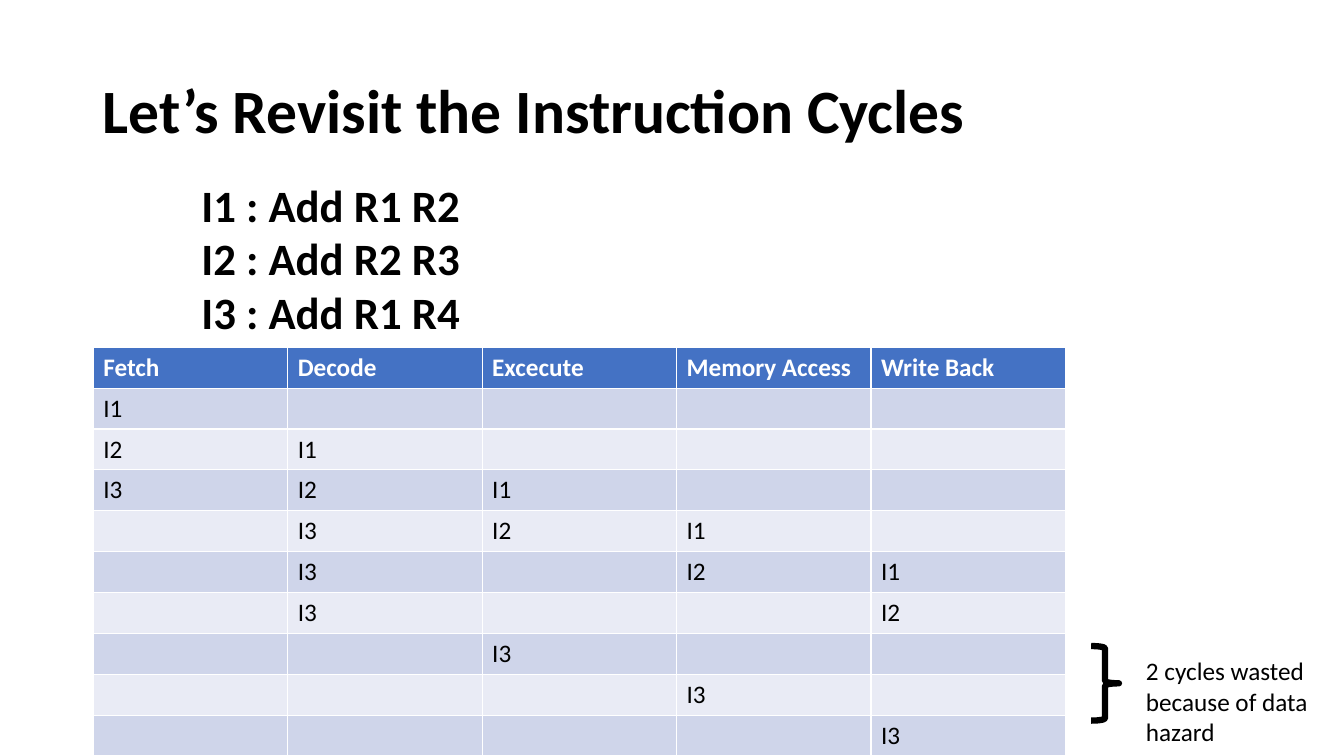
from dataclasses import dataclass

from lxml import etree
from pptx import Presentation
from pptx import util as u
from pptx.dml.color import RGBColor
from pptx.enum import shapes, text
from pptx.oxml import ns

Cm = u.Cm


@dataclass(frozen=True)
class Theme:
    """Colours, font and type sizes of the slide."""
    font: str = "Calibri"
    ink: str = "000000"
    paper: str = "FFFFFF"
    head: str = "4472C4"
    bands: tuple = ("CFD5EA", "E9EBF5")
    title: int = 44
    code: int = 32
    note: int = 18


class Deck:
    """Holds the theme and the current slide."""

    def __init__(self, prs, theme):
        """Add a title and content slide."""
        self.theme = theme
        self.slide = prs.slides.add_slide(prs.slide_layouts[1])

    def label(self, frame, words, size, bold=False, color=None):
        """Fill a text frame and format its runs."""
        frame.text = words
        for para in frame.paragraphs:
            for run in para.runs:
                font = run.font
                font.name, font.size, font.bold = self.theme.font, u.Pt(size), bold
                font.color.rgb = RGBColor.from_string(color or self.theme.ink)

    def place(self, shape, box):
        """Move a shape to left, top, width, height in centimetres."""
        shape.left, shape.top, shape.width, shape.height = map(Cm, box)

    def title(self, words, box):
        """Fill the title placeholder."""
        shape = self.slide.shapes.title
        self.place(shape, box)
        frame = shape.text_frame
        self.label(frame, words, self.theme.title, True)
        frame.auto_size = text.MSO_AUTO_SIZE.NONE
        frame.vertical_anchor = text.MSO_ANCHOR.MIDDLE
        para = frame.paragraphs[0]
        para.alignment, para.line_spacing = text.PP_ALIGN.LEFT, 0.9

    def code(self, lines, box, indent):
        """Fill the body placeholder with indented lines, no bullets."""
        shape = self.slide.placeholders[1]
        self.place(shape, box)
        frame = shape.text_frame
        self.label(frame, "\n".join(lines), self.theme.code, True)
        frame.auto_size = text.MSO_AUTO_SIZE.NONE
        for para in frame.paragraphs:
            para.alignment = text.PP_ALIGN.JUSTIFY
            para.space_before = u.Pt(0)
            props = para._p.get_or_add_pPr()
            props.set("marL", str(Cm(indent)))
            props.set("indent", "0")
            etree.SubElement(props, ns.qn("a:buNone"))

    def table(self, heads, rows, box):
        """Add a banded table with a header row."""
        grid = [heads, *rows]
        table = self.slide.shapes.add_table(
            len(grid), len(heads), *map(Cm, box)).table
        for r, row in enumerate(grid):
            for c, words in enumerate(row):
                cell = table.cell(r, c)
                fill = self.theme.bands[(r - 1) % 2] if r else self.theme.head
                cell.fill.solid()
                cell.fill.fore_color.rgb = RGBColor.from_string(fill)
                color = self.theme.ink if r else self.theme.paper
                self.label(cell.text_frame, words, self.theme.note, r == 0, color)

    def brace(self, box, width):
        """Add a right brace."""
        shape = self.slide.shapes.add_shape(
            shapes.MSO_SHAPE.RIGHT_BRACE, *map(Cm, box))
        shape.shadow.inherit = False
        shape.fill.solid()
        shape.fill.fore_color.rgb = RGBColor.from_string(self.theme.paper)
        shape.line.color.rgb = RGBColor.from_string(self.theme.ink)
        shape.line.width = u.Pt(width)

    def note(self, words, box):
        """Add a wrapped text box."""
        frame = self.slide.shapes.add_textbox(*map(Cm, box)).text_frame
        frame.word_wrap = True
        self.label(frame, words, self.theme.note)


def main():
    """Build and save the slide."""
    prs = Presentation()
    prs.slide_width, prs.slide_height = Cm(33.87), Cm(19.05)
    deck = Deck(prs, Theme())
    deck.title("Let’s Revisit the Instruction Cycles", (2.33, 1.01, 29.21, 3.68))
    deck.code(["I1 : Add R1 R2", "I2 : Add R2 R3", "I3 : Add R1 R4"],
              (2.77, 4.34, 23.9, 5.13), 2.05)
    stages = ["Fetch", "Decode", "Excecute", "Memory Access", "Write Back"]
    # Each cycle names the instruction held by each stage; "-" is an idle stage.
    cycles = ["1----", "21---", "321--", "-321-", "-3-21",
              "-3--2", "--3--", "---3-", "----3"]
    rows = [["" if n == "-" else f"I{n}" for n in cycle] for cycle in cycles]
    deck.table(stages, rows, (2.35, 8.75, 24.5, 10.3))
    deck.brace((27.5, 16.28, 0.7, 1.88), 4.5)
    deck.note("2 cycles wasted because of data hazard", (28.63, 16.4, 4.67, 2.56))
    prs.save("out.pptx")


main()
